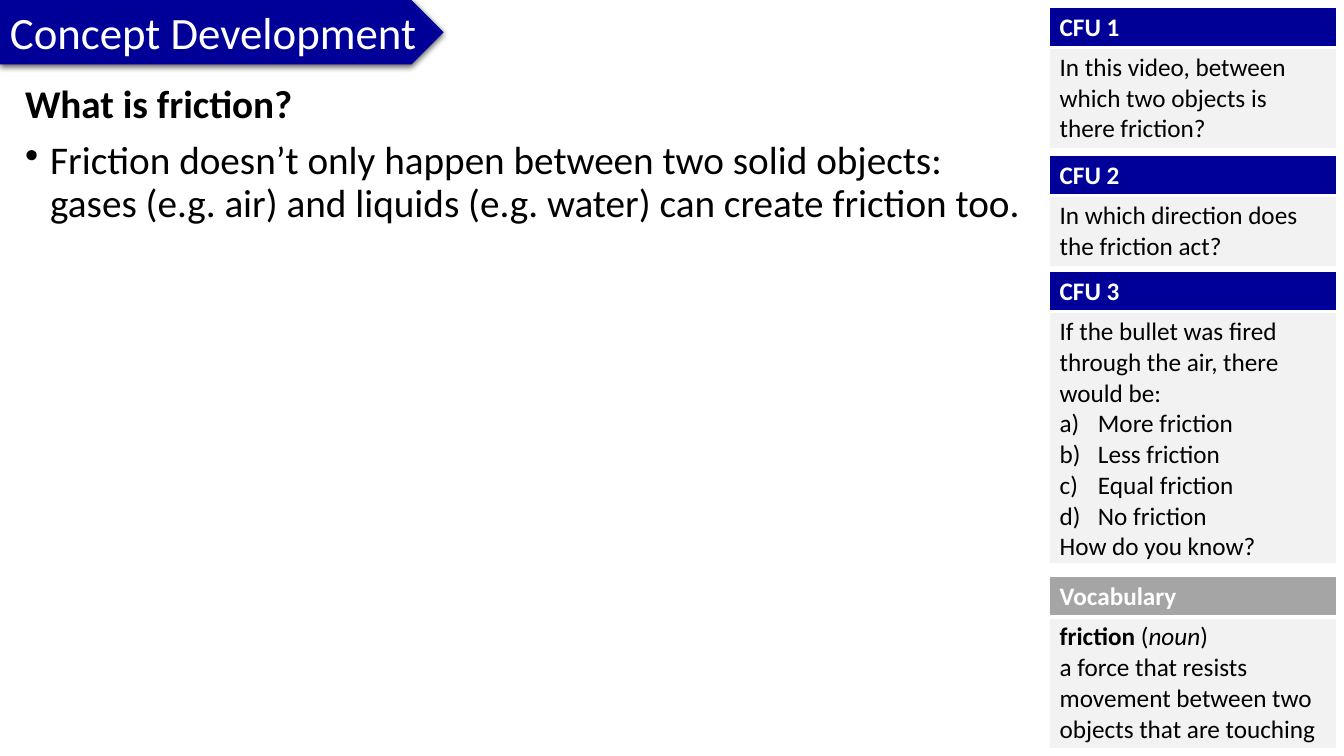
from pptx import Presentation
from pptx.dml.color import RGBColor
from pptx.enum.shapes import MSO_SHAPE
from pptx.enum.text import MSO_ANCHOR, MSO_AUTO_SIZE, PP_ALIGN
from pptx.oxml import parse_xml
from pptx.oxml.ns import nsdecls
from pptx.util import Pt

SCALE = 9144  # EMU per px, 100 px to the inch
COLORS = {"navy": "000099", "gray": "A5A5A5", "pale": "F2F2F2",
          "white": "FFFFFF", "black": "000000"}
FONT = "Calibri"
BULLET = '<a:buChar {} char="•"/>'
LETTERS = '<a:buAutoNum {} type="alphaLcParenR"/>'

PANEL_LEFT, PANEL_WIDTH = 1041, 285
HEADER_HEIGHT = 40


def px(n):
    return n * SCALE


def rgb(name):
    return RGBColor.from_string(COLORS[name])


def xml(template):
    return parse_xml(template.format(nsdecls("a")))


def add_run(p, text, size, color, **fmt):
    r = p.add_run()
    r.text = text
    for key, value in {"name": FONT, "size": Pt(size), "bold": False, **fmt}.items():
        setattr(r.font, key, value)
    r.font.color.rgb = rgb(color)


def set_list(p, marker, indent):
    pPr = p._p.get_or_add_pPr()
    pPr.set("marL", str(px(indent)))
    pPr.set("indent", str(-px(indent)))
    pPr.append(xml(marker))


def fill_text(tf, paragraphs, size, color):
    """Each paragraph is a (runs, marker, indent) tuple; each run is (text, format)."""
    for i, (runs, marker, indent) in enumerate(paragraphs):
        p = tf.add_paragraph() if i else tf.paragraphs[0]
        p.alignment = PP_ALIGN.LEFT
        if marker:
            set_list(p, marker, indent)
        for text, fmt in runs:
            add_run(p, text, size, color, **fmt)


def plain(text, marker=None, indent=0, **fmt):
    return [(text, fmt)], marker, indent


def set_borders(cell, **widths):
    tcPr = cell._tc.get_or_add_tcPr()
    for i, side in enumerate("LRTB"):
        width = Pt(widths.get(side, 1))
        tcPr.insert(i, xml(
            f'<a:ln{side} {{}} w="{width}"><a:solidFill><a:srgbClr val="{COLORS["white"]}"/>'
            f'</a:solidFill></a:ln{side}>'))


def add_panel(s, top, height, title, header_fill, body):
    table = s.shapes.add_table(2, 1, px(PANEL_LEFT), px(top),
                               px(PANEL_WIDTH), px(height)).table
    table.horz_banding = False
    rows = [
        (HEADER_HEIGHT, header_fill, "white", [plain(title, bold=True)], {"B": 3}),
        (height - HEADER_HEIGHT, "pale", "black", body, {"T": 3}),
    ]
    for i, (row_height, fill, color, paragraphs, borders) in enumerate(rows):
        table.rows[i].height = px(row_height)
        cell = table.cell(i, 0)
        cell.fill.solid()
        cell.fill.fore_color.rgb = rgb(fill)
        set_borders(cell, **borders)
        fill_text(cell.text_frame, paragraphs, 18, color)


def add_title(s, text):
    sp = s.shapes.add_shape(MSO_SHAPE.PENTAGON, 0, 0, px(440), px(64))
    sp.fill.solid()
    sp.fill.fore_color.rgb = rgb("navy")
    sp.line.fill.background()
    sp._element.spPr.append(xml(
        f'<a:effectLst {{}}><a:outerShdw blurRad="{Pt(4.5)}" dist="{Pt(1.5)}" dir="5400000" '
        f'algn="t" rotWithShape="0"><a:srgbClr val="{COLORS["black"]}">'
        '<a:alpha val="63000"/></a:srgbClr></a:outerShdw></a:effectLst>'))
    tf = sp.text_frame
    tf.word_wrap = False
    tf.auto_size = MSO_AUTO_SIZE.SHAPE_TO_FIT_TEXT
    tf.vertical_anchor = MSO_ANCHOR.TOP
    fill_text(tf, [plain(text)], 32, "white")


def add_body(s, paragraphs):
    tf = s.shapes.add_textbox(px(15), px(79), px(1013), px(476)).text_frame
    tf.word_wrap = True
    fill_text(tf, paragraphs, 28, "black")
    for i, p in enumerate(tf.paragraphs):
        p.line_spacing = 0.9
        p.space_before = Pt(10 if i else 0)


def main():
    prs = Presentation()
    prs.slide_width, prs.slide_height = px(1333), px(750)
    s = prs.slides.add_slide(prs.slide_layouts[6])

    # Title and main text
    add_title(s, "Concept Development")
    add_body(s, [
        plain("What is friction?", bold=True),
        plain("Friction doesn’t only happen between two solid objects: gases (e.g. air) "
              "and liquids (e.g. water) can create friction too.", BULLET, 25),
    ])

    # Questions for checking understanding
    answers = ["More friction", "Less friction", "Equal friction", "No friction"]
    questions = [
        (7, 140, [plain("In this video, between which two objects is there friction?")]),
        (154, 110, [plain("In which direction does the friction act?")]),
        (269, 290, [
            plain("If the bullet was fired through the air, there would be:"),
            *[plain(answer, LETTERS, 38) for answer in answers],
            plain("How do you know?"),
        ]),
    ]
    for number, (top, height, body) in enumerate(questions, 1):
        add_panel(s, top, height, f"CFU {number}", "navy", body)

    # Vocabulary
    term = [("friction", {"bold": True}), (" (", {}), ("noun", {"italic": True}), (")", {})]
    add_panel(s, 572, 171, "Vocabulary", "gray", [
        (term, None, 0),
        plain("a force that resists movement between two objects that are touching"),
    ])

    prs.save("out.pptx")


if __name__ == "__main__":
    main()
